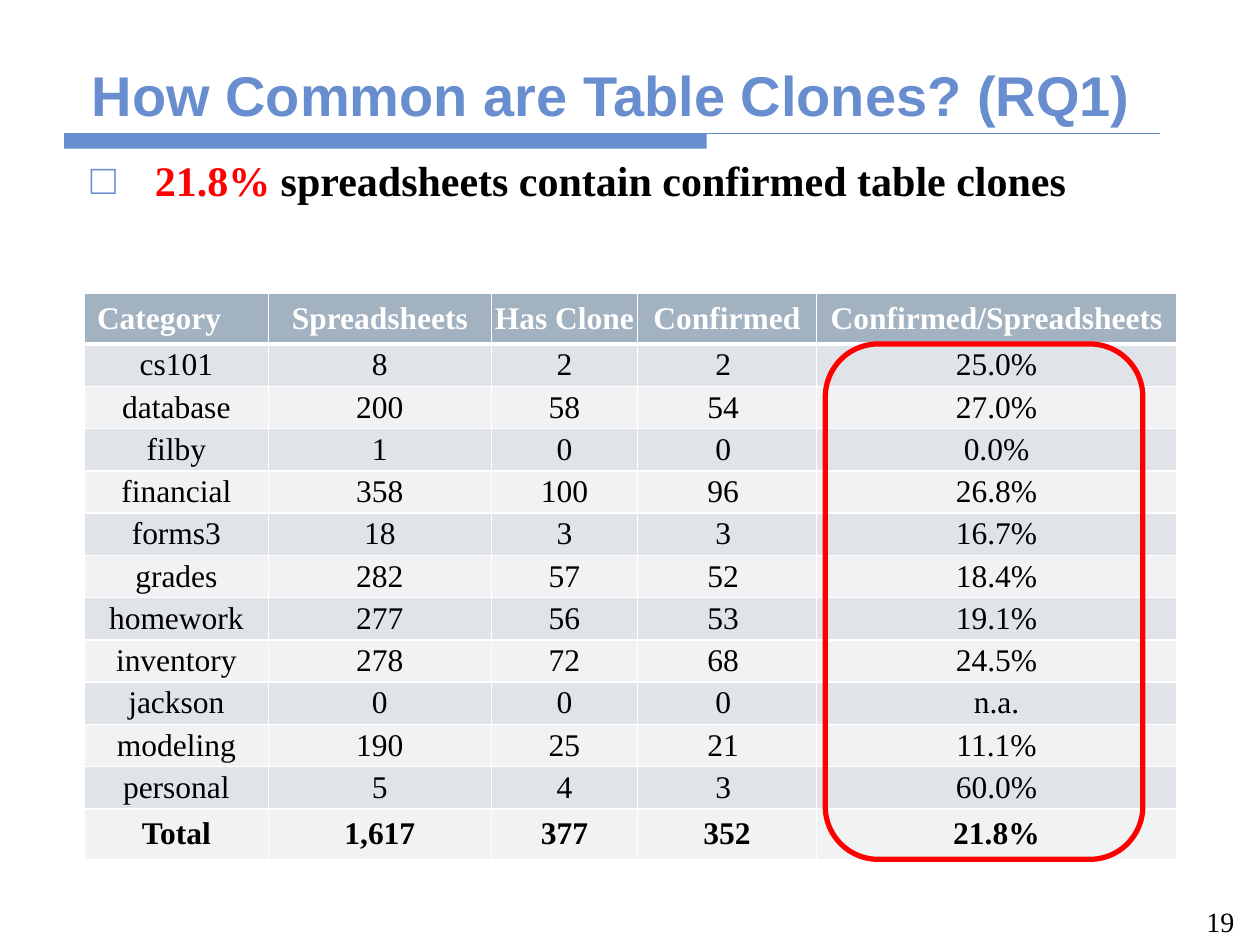
import pptx
import pptx.util
import pptx.dml.color
import pptx.enum.shapes
import pptx.enum.text
import pptx.oxml.ns
from lxml import etree

Inches, Pt = pptx.util.Inches, pptx.util.Pt
ALIGN = pptx.enum.text.PP_ALIGN
ANCHOR = pptx.enum.text.MSO_ANCHOR
SHAPE = pptx.enum.shapes.MSO_SHAPE
qn = pptx.oxml.ns.qn

COLORS = {"accent": "698ECF", "header": "A3B2C1", "odd": "E0E4E9", "even": "F0F2F4",
          "white": "FFFFFF", "black": "000000", "red": "FF0000"}
SERIF, SANS = "Times New Roman", "Arial"

TITLE = "How Common are Table Clones? (RQ1)"
FINDING = [("21.8%", "red"), (" spreadsheets contain confirmed table clones", "black")]
PAGE = "19"
ROWS = [
    ("Category", "Spreadsheets", "Has Clone", "Confirmed", "Confirmed/Spreadsheets"),
    ("cs101", "8", "2", "2", "25.0%"),
    ("database", "200", "58", "54", "27.0%"),
    ("filby", "1", "0", "0", "0.0%"),
    ("financial", "358", "100", "96", "26.8%"),
    ("forms3", "18", "3", "3", "16.7%"),
    ("grades", "282", "57", "52", "18.4%"),
    ("homework", "277", "56", "53", "19.1%"),
    ("inventory", "278", "72", "68", "24.5%"),
    ("jackson", "0", "0", "0", "n.a."),
    ("modeling", "190", "25", "21", "11.1%"),
    ("personal", "5", "4", "3", "60.0%"),
    ("Total", "1,617", "377", "352", "21.8%"),
]
COL_WIDTHS = [1.46, 1.77, 1.16, 1.42, 2.86]
TABLE_LEFT, TABLE_TOP, TABLE_HEIGHT = 0.67, 2.33, 4.43
EDGE_ROW = 0.37  # header and total rows
LAST = len(ROWS) - 1
BODY_ROW = (TABLE_HEIGHT - 2 * EDGE_ROW) / (len(ROWS) - 2)
CONFIRMED = 3


def rgb(name):
    return pptx.dml.color.RGBColor.from_string(COLORS[name])


def style(r, size, color, font=SERIF, bold=False):
    r.font.size, r.font.name, r.font.bold = Pt(size), font, bold
    r.font.color.rgb = rgb(color)


def add_text(slide, box, runs, size, font=SERIF, bold=False, anchor=ANCHOR.TOP):
    """Add a one-paragraph text box of (text, colour) runs; return the paragraph."""
    tf = slide.shapes.add_textbox(*map(Inches, box)).text_frame
    tf.word_wrap, tf.vertical_anchor = True, anchor
    p = tf.paragraphs[0]
    for text, color in runs:
        r = p.add_run()
        r.text = text
        style(r, size, color, font, bold)
    return p


def add_bullet(p, char, color, indent):
    pPr = p._p.get_or_add_pPr()
    pPr.set("marL", str(Inches(indent)))
    pPr.set("indent", str(-Inches(indent)))
    clr = etree.SubElement(pPr, qn("a:buClr"))
    etree.SubElement(clr, qn("a:srgbClr"), val=COLORS[color])
    etree.SubElement(pPr, qn("a:buFont"), typeface=SERIF)
    etree.SubElement(pPr, qn("a:buChar"), char=char)


def set_borders(cell, color, widths):
    """Draw cell borders; the line elements must come before the fill."""
    tcPr = cell._tc.get_or_add_tcPr()
    for i, (side, width) in enumerate(widths.items()):
        ln = etree.Element(qn("a:ln" + side), w=str(Pt(width)))
        fill = etree.SubElement(ln, qn("a:solidFill"))
        etree.SubElement(fill, qn("a:srgbClr"), val=COLORS[color])
        tcPr.insert(i, ln)


def add_heading(slide):
    add_text(slide, (0.63, 0.33, 8.75, 0.73), [(TITLE, "accent")], 32, SANS, True,
             ANCHOR.BOTTOM)
    left, top = 0.51, 1.06
    bar = slide.shapes.add_shape(SHAPE.RECTANGLE, Inches(left), Inches(top),
                                 Inches(5.1), Inches(0.12))
    bar.shadow.inherit = False
    bar.fill.solid()
    bar.fill.fore_color.rgb = rgb("accent")
    bar.line.fill.background()
    rule = slide.shapes.add_connector(pptx.enum.shapes.MSO_CONNECTOR.STRAIGHT, Inches(left),
                                      Inches(top), Inches(left + 8.7), Inches(top))
    rule.line.color.rgb, rule.line.width = rgb("accent"), Pt(0.75)
    etree.SubElement(rule._element.spPr, qn("a:effectLst"))


def fill_cell(cell, text, row, col):
    header, total = row == 0, row == LAST
    cell.fill.solid()
    cell.fill.fore_color.rgb = rgb("header" if header else "odd" if row % 2 else "even")
    cell.vertical_anchor = ANCHOR.MIDDLE
    if not (col == 0 and (header or total)):
        cell.margin_left = cell.margin_right = Inches(0.02)
        cell.margin_top = cell.margin_bottom = 0
    if col == CONFIRMED and not (header or total):
        cell.margin_right = Inches(0.08)
    cell.text_frame.text = text
    p = cell.text_frame.paragraphs[0]
    p.alignment = ALIGN.LEFT if header and col == 0 else ALIGN.CENTER
    style(p.runs[0], 18, "white" if header else "black", bold=header or total)
    set_borders(cell, "white", {"L": 1, "R": 1, "T": 3 if row == 1 else 1,
                                "B": 3 if header else 1})


def add_clone_table(slide):
    table = slide.shapes.add_table(
        len(ROWS), len(COL_WIDTHS), Inches(TABLE_LEFT), Inches(TABLE_TOP),
        Inches(sum(COL_WIDTHS)), Inches(TABLE_HEIGHT)).table
    for column, width in zip(table.columns, COL_WIDTHS):
        column.width = Inches(width)
    for i, values in enumerate(ROWS):
        table.rows[i].height = Inches(EDGE_ROW if i in (0, LAST) else BODY_ROW)
        for j, text in enumerate(values):
            fill_cell(table.cell(i, j), text, i, j)


def main():
    prs = pptx.Presentation()
    prs.slide_width, prs.slide_height = Inches(10), Inches(7.5)
    slide = prs.slides.add_slide(prs.slide_layouts[6])
    add_heading(slide)
    add_clone_table(slide)

    ring = slide.shapes.add_shape(SHAPE.ROUNDED_RECTANGLE, Inches(6.55), Inches(2.73),
                                  Inches(2.52), Inches(4.09))
    ring.shadow.inherit = False
    ring.fill.background()
    ring.line.color.rgb, ring.line.width = rgb("red"), Pt(3)

    p = add_text(slide, (0.62, 1.18, 8.75, 0.84), FINDING, 24, bold=True)
    add_bullet(p, "□", "accent", 0.51)
    p = add_text(slide, (9.37, 7.13, 0.63, 0.35), [(PAGE, "black")], 16)
    p.alignment = ALIGN.CENTER
    prs.save("out.pptx")


if __name__ == "__main__":
    main()
